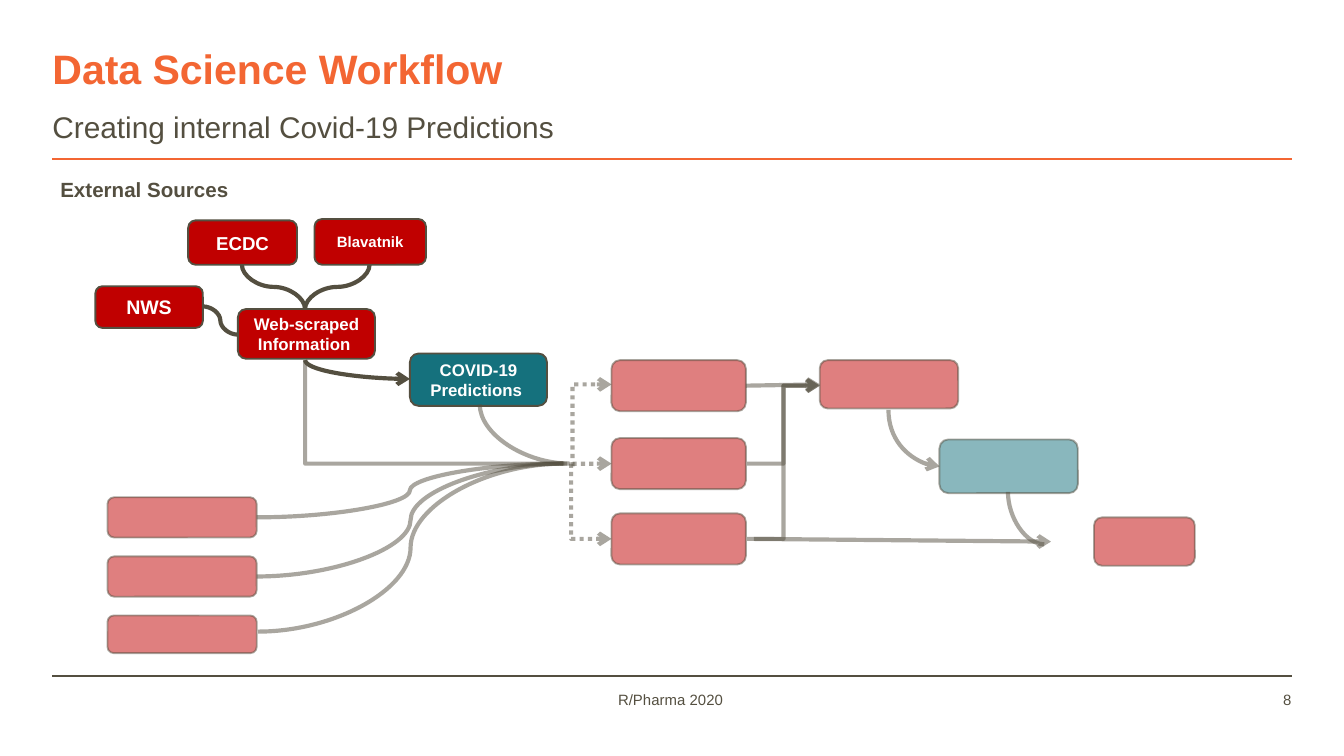
from lxml import etree
from pptx import Presentation
from pptx.dml.color import RGBColor
from pptx.enum import dml, shapes, text
from pptx.oxml import ns
from pptx.util import Inches, Pt

INK, ORANGE, RED, TEAL, WHITE = "544F40", "F36633", "C00000", "15717D", "FFFFFF"
FONT = "Arial"

# Content: active boxes (left, top, width, height, fill, size, label)
ACTIVE = [
    (1.77, 2.3, 1.02, 0.37, RED, 9, "Web-scraped Information "),
    (3.05, 2.63, 1.02, 0.39, TEAL, 9, "COVID-19 Predictions "),
    (1.4, 1.64, 0.81, 0.33, RED, 10, "ECDC"),
    (2.34, 1.63, 0.83, 0.34, RED, 8, "Blavatnik"),
    (0.71, 2.13, 0.8, 0.31, RED, 10.5, "NWS"),
]
# Faded boxes for later steps: name -> (left, top, width, height, fill)
FADED = {
    "input 1": (0.8, 3.7, 1.11, 0.3, RED),
    "input 2": (0.8, 4.14, 1.11, 0.3, RED),
    "input 3": (0.8, 4.58, 1.11, 0.28, RED),
    "model 1": (4.55, 2.68, 1, 0.38, RED),
    "model 2": (4.55, 3.26, 1, 0.38, RED),
    "model 3": (4.55, 3.82, 1, 0.38, RED),
    "summary": (6.1, 2.68, 1.03, 0.36, RED),
    "forecast": (6.99, 3.27, 1.03, 0.4, TEAL),
    "result": (8.14, 3.85, 0.75, 0.36, RED),
}
# Links: (kind, bends, start, end, first direction, options)
# options: f faded, d dotted, a arrowhead
LINKS = [
    ("bent", 2, (2.27, 2.68), (4.22, 3.45), "v", "f"),
    ("curved", 2, (3.57, 3.01), (4.24, 3.45), "v", "f"),
    ("bent", 2, (4.26, 3.47), (4.55, 2.86), "v", "fda"),
    ("bent", 2, (4.25, 3.45), (4.55, 4.01), "v", "fda"),
    ("bent", 3, (5.56, 4.01), (6.1, 2.87), "h", "fa"),
    ("bent", 3, (5.56, 3.45), (6.1, 2.87), "h", "fa"),
    ("curved", 2, (6.61, 3.05), (6.99, 3.47), "v", "fa"),
    ("curved", 2, (7.5, 3.66), (7.77, 4.05), "v", "f"),
    ("curved", 3, (2.75, 1.97), (2.27, 2.3), "v", ""),
    ("curved", 3, (1.8, 1.97), (2.27, 2.3), "v", ""),
    ("curved", 3, (1.51, 2.28), (1.77, 2.49), "h", ""),
    ("curved", 2, (2.27, 2.68), (3.05, 2.82), "v", "a"),
    ("curved", 3, (1.91, 3.85), (4.19, 3.45), "h", "f"),
    ("curved", 3, (1.91, 4.29), (4.2, 3.45), "h", "f"),
    ("curved", 3, (1.92, 4.7), (4.19, 3.45), "h", "f"),
]
# Straight links: (start, end, options, start box, end box)
STRAIGHT = [
    ((4.26, 3.45), (4.55, 3.45), "fda", None, "model 2"),
    ((5.55, 2.87), (6.1, 2.86), "fa", "model 1", "summary"),
    ((5.61, 4.01), (7.82, 4.03), "fa", None, None),
]
# Plain text: (left, top, width, height, insets, size, bold, align, wrap, words)
LABELS = [
    (3.26, 5.14, 3.46, 0.3, (0.08, 0, 0.08, 0), 8, False, "CENTER", True, "R/Pharma 2020"),
    (8.7, 5.14, 0.91, 0.3, (0.08, 0, 0, 0), 8, False, "RIGHT", True, "8"),
    (0.35, 1.27, 1.51, 0.29, (0.1, 0.05, 0.1, 0.05), 11, True, "LEFT", False, "External Sources"),
]

# A 16:9 slide
prs = Presentation()
prs.slide_width = Inches(10)
prs.slide_height = prs.slide_width * 9 // 16
s = prs.slides.add_slide(prs.slide_layouts[1])


def paint(fmt, color, faded=False):
    """Solid colour on a fill, half transparent when faded."""
    fmt.solid()
    fmt.fore_color.rgb = RGBColor.from_string(color)
    if faded:
        for clr in fmt._xPr.iter(ns.qn("a:srgbClr")):
            etree.SubElement(clr, ns.qn("a:alpha")).set("val", "50000")


def write(sp, words, size, color, bold=False, align="LEFT", anchor="TOP",
          insets=(0.08, 0.08, 0.08, 0.08), wrap=True):
    tf = sp.text_frame
    tf.word_wrap = wrap
    tf.auto_size = text.MSO_AUTO_SIZE.NONE
    tf.vertical_anchor = text.MSO_ANCHOR[anchor]
    tf.margin_left, tf.margin_top, tf.margin_right, tf.margin_bottom = map(Inches, insets)
    p = tf.paragraphs[0]
    p.alignment = text.PP_ALIGN[align]
    p.space_before = Pt(0)
    r = p.add_run()
    r.text = words
    r.font.name, r.font.size, r.font.bold = FONT, Pt(size), bold
    paint(r.font.fill, color)
    return p


def place(sp, *box):
    sp.left, sp.top, sp.width, sp.height = map(Inches, box)


def box(left, top, width, height, fill, faded=False):
    sp = s.shapes.add_shape(shapes.MSO_SHAPE.ROUNDED_RECTANGLE,
                            *map(Inches, (left, top, width, height)))
    sp.shadow.inherit = False
    paint(sp.fill, fill, faded)
    sp.line.width = Pt(1)
    paint(sp.line.fill, INK, faded)
    return sp


def connect(kind, start, end, options="", color=INK, width=2.25):
    c = s.shapes.add_connector(shapes.MSO_CONNECTOR[kind], *map(Inches, start + end))
    c.line.width = Pt(width)
    paint(c.line.fill, color, "f" in options)
    if "d" in options:
        c.line.dash_style = dml.MSO_LINE.ROUND_DOT
    if "a" in options:
        etree.SubElement(c.line._get_or_add_ln(), ns.qn("a:tailEnd")).set("type", "arrow")
    etree.SubElement(c._element.spPr, ns.qn("a:effectLst"))
    return c


def route(kind, bends, start, end, first, options):
    c = connect("ELBOW" if kind == "bent" else "CURVE", start, end, options)
    spPr = c._element.spPr
    spPr.find(ns.qn("a:prstGeom")).set("prst", f"{kind}Connector{bends}")
    if first == "v":
        # A quarter turn about the centre makes the first leg vertical
        (x1, y1), (x2, y2) = start, end
        w, h = abs(y2 - y1), abs(x2 - x1)
        place(c, (x1 + x2 - w) / 2, (y1 + y2 - h) / 2, w, h)
        xfrm = spPr.find(ns.qn("a:xfrm"))
        xfrm.set("rot", str(270 * 60000))
        xfrm.set("flipH", str(int(y2 > y1)))
        xfrm.set("flipV", str(int(x2 < x1)))


# Header and footer rules
connect("STRAIGHT", (0.39, 5.03), (9.61, 5.03), width=1)
connect("STRAIGHT", (0.39, 1.18), (9.61, 1.18), color=ORANGE, width=1)

# Title and subtitle
title, body = s.placeholders
place(title, 0.39, 0.32, 8.29, 0.37)
write(title, "Data Science Workflow", 22, ORANGE, True, insets=(0, 0, 0, 0))
place(body, 0.39, 0.76, 8.29, 0.3)
p = write(body, "Creating internal Covid-19 Predictions", 16, INK, insets=(0, 0.05, 0.1, 0.05))
pPr = p._p.get_or_add_pPr()
pPr.set("marL", "0")
pPr.set("indent", "0")
etree.SubElement(pPr, ns.qn("a:buNone"))

# Boxes
steps = {name: box(*spec, faded=True) for name, spec in FADED.items()}
for *spec, size, words in ACTIVE:
    write(box(*spec), words, size, WHITE, True, "CENTER", "MIDDLE")

# Links
for link in LINKS:
    route(*link)
for start, end, options, source, target in STRAIGHT:
    c = connect("STRAIGHT", start, end, options)
    if source:
        c.begin_connect(steps[source], 3)
    if target:
        c.end_connect(steps[target], 1)

# Section label, footer and page number
for *spec, insets, size, bold, align, wrap, words in LABELS:
    tb = s.shapes.add_textbox(*map(Inches, spec))
    write(tb, words, size, INK, bold, align, insets=insets, wrap=wrap)

prs.save("out.pptx")
